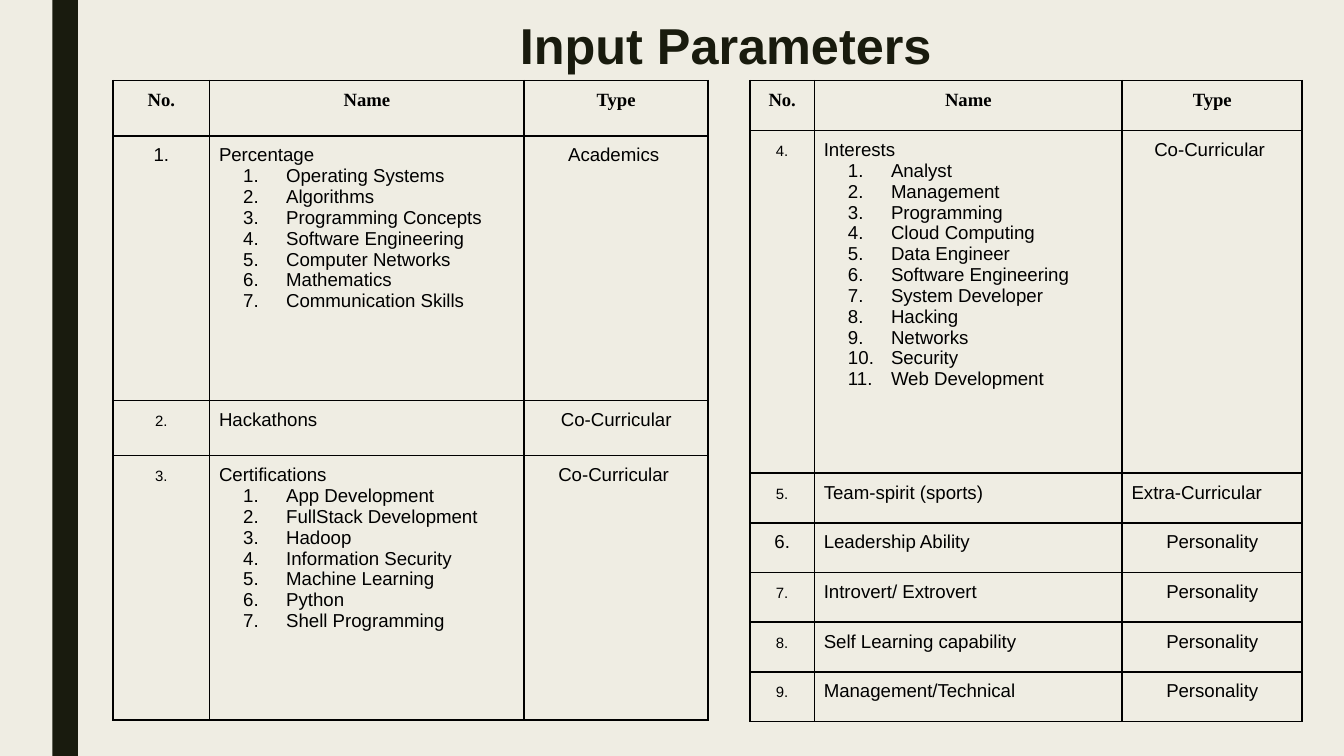
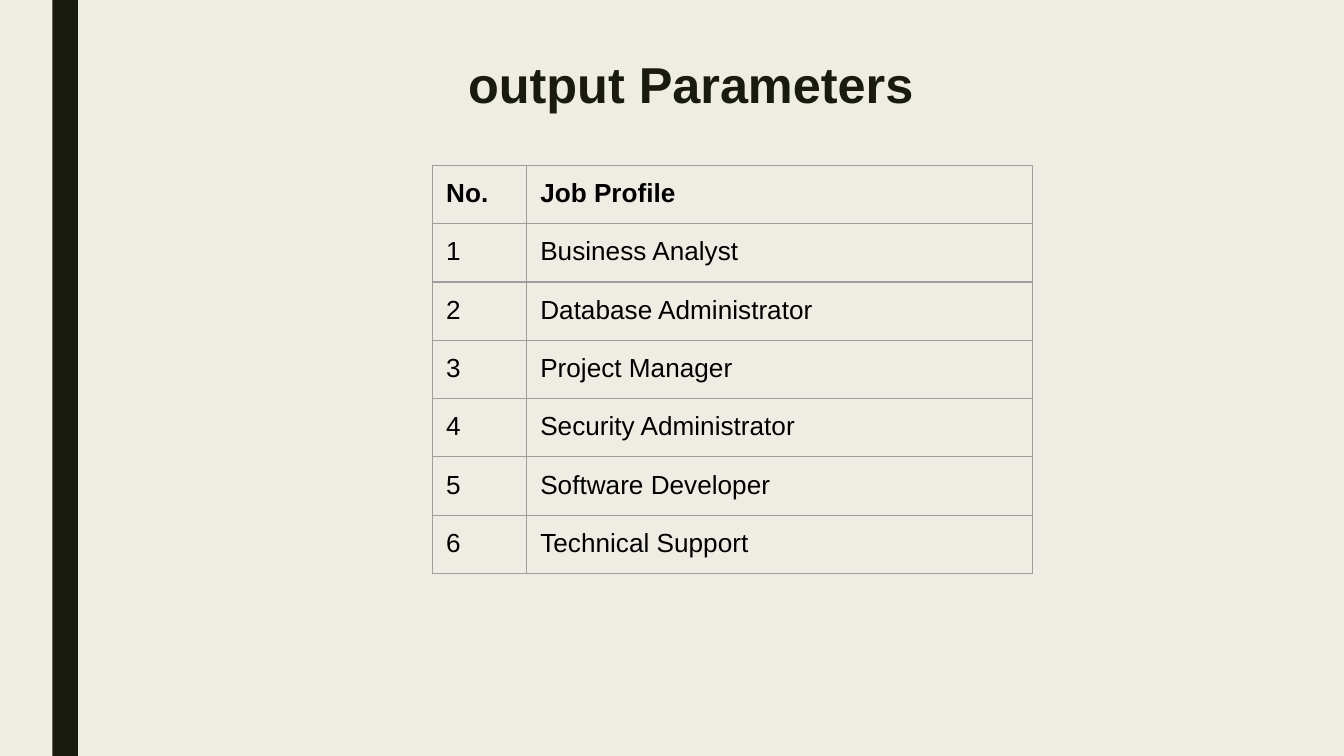
from dataclasses import dataclass, replace

from lxml.etree import SubElement
from pptx import Presentation
from pptx.dml.color import RGBColor
from pptx.enum.shapes import MSO_SHAPE
from pptx.enum.text import MSO_ANCHOR, PP_ALIGN
from pptx.oxml import parse_xml
from pptx.oxml.ns import nsdecls, qn
from pptx.slide import Slide
from pptx.table import _Cell
from pptx.text.text import _Paragraph
from pptx.util import Inches, Length, Pt

# Lengths count square grid units: 100 columns by 56.25 rows.
COLUMNS, ROWS = 100, 56.25
UNIT = Inches(10) / COLUMNS

PAPER = RGBColor(0xEF, 0xED, 0xE3)
INK = RGBColor(0x19, 0x1B, 0x0E)
BLACK = RGBColor(0x00, 0x00, 0x00)
GRAY = RGBColor(0x9E, 0x9E, 0x9E)

LEFT, CENTER, JUSTIFY = PP_ALIGN.LEFT, PP_ALIGN.CENTER, PP_ALIGN.JUSTIFY


@dataclass(frozen=True)
class TextStyle:
    size: float
    font: str = "Arial"
    color: RGBColor = BLACK
    bold: bool = False
    small_caps: bool = False


@dataclass(frozen=True)
class CellText:
    text: str
    style: TextStyle
    align: PP_ALIGN = LEFT
    items: tuple[str, ...] = ()


@dataclass(frozen=True)
class Parameter:
    number: int
    name: str
    kind: str
    items: tuple[str, ...] = ()
    name_align: PP_ALIGN = LEFT
    kind_align: PP_ALIGN = CENTER
    small_number: bool = True


@dataclass(frozen=True)
class TableLayout:
    left: float
    top: float
    widths: tuple[float, ...]
    heights: tuple[float, ...]
    inset: float
    border: RGBColor
    border_width: float


TITLE = TextStyle(27, color=INK, bold=True)
HEADING = TextStyle(10, "Times New Roman", bold=True)
BODY = TextStyle(10)
PROFILE = TextStyle(14)

LEFT_PARAMETERS = (
    Parameter(1, "Percentage ", "Academics ", (
        "Operating Systems", "Algorithms", "Programming Concepts",
        "Software Engineering", "Computer Networks", "Mathematics",
        "Communication Skills"), JUSTIFY, small_number=False),
    Parameter(2, "Hackathons", "Co-Curricular"),
    Parameter(3, "Certifications", "Co-Curricular ", (
        "App Development", "FullStack Development", "Hadoop",
        "Information Security", "Machine Learning", "Python",
        "Shell Programming"), JUSTIFY),
)
RIGHT_PARAMETERS = (
    Parameter(4, "Interests", "Co-Curricular ", (
        "Analyst", "Management", "Programming", "Cloud Computing",
        "Data Engineer", "Software Engineering", "System Developer",
        "Hacking", "Networks", "Security", "Web Development")),
    Parameter(5, "Team-spirit (sports)", "Extra-Curricular", kind_align=LEFT),
    Parameter(6, "Leadership Ability", "Personality", small_number=False),
    Parameter(7, "Introvert/ Extrovert", "Personality"),
    Parameter(8, "Self Learning capability", "Personality"),
    Parameter(9, "Management/Technical", "Personality"),
)
JOB_PROFILES = (
    "Business Analyst", "Database Administrator", "Project Manager",
    "Security Administrator", "Software Developer", "Technical Support",
)

LEFT_LAYOUT = TableLayout(
    8.4, 6, (7.2, 23.4, 13.7), (4.1, 19.7) * 2, 0.7, BLACK, 1)
RIGHT_LAYOUT = TableLayout(
    55.8, 6, (4.8, 22.9, 13.4), (3.7, 25.5) + (3.7,) * 5, 0.7, BLACK, 1)
PROFILE_LAYOUT = TableLayout(
    32.2, 12.3, (7, 37.6), (4.2,) * (len(JOB_PROFILES) + 1), 1, GRAY, 0.75)


def grid(units: float) -> Length:
    return Length(round(units * UNIT))


def add_run(paragraph: _Paragraph, text: str, style: TextStyle) -> None:
    run = paragraph.add_run()
    run.text = text
    run.font.size = Pt(style.size)
    run.font.name = style.font
    run.font.bold = style.bold
    run.font.color.rgb = style.color
    if style.small_caps:
        run._r.get_or_add_rPr().set("cap", "small")


def number_paragraph(paragraph: _Paragraph) -> None:
    """Give the paragraph a hanging automatic number."""
    properties = paragraph._p.get_or_add_pPr()
    properties.set("marL", str(grid(5)))
    properties.set("indent", str(grid(-3.2)))
    color = SubElement(properties, qn("a:buClr"))
    SubElement(color, qn("a:srgbClr"), val=str(BLACK))
    SubElement(properties, qn("a:buFont"), typeface="Arial")
    SubElement(properties, qn("a:buAutoNum"), type="arabicPeriod")


def set_borders(cell: _Cell, color: RGBColor, width: float) -> None:
    properties = cell._tc.get_or_add_tcPr()
    for index, side in enumerate("LRTB"):
        properties.insert(index, parse_xml(
            f'<a:ln{side} {nsdecls("a")} w="{Pt(width)}"><a:solidFill>'
            f'<a:srgbClr val="{color}"/></a:solidFill></a:ln{side}>'))


def fill_cell(cell: _Cell, content: CellText, layout: TableLayout) -> None:
    cell.fill.background()
    set_borders(cell, layout.border, layout.border_width)
    cell.margin_left = cell.margin_right = grid(layout.inset)
    cell.margin_top = cell.margin_bottom = grid(layout.inset)
    paragraph = cell.text_frame.paragraphs[0]
    paragraph.alignment = content.align
    add_run(paragraph, content.text, content.style)
    for item in content.items:
        paragraph = cell.text_frame.add_paragraph()
        paragraph.alignment = content.align
        number_paragraph(paragraph)
        add_run(paragraph, item, content.style)


def add_table(slide: Slide, layout: TableLayout,
              rows: list[list[CellText]]) -> None:
    table = slide.shapes.add_table(
        len(layout.heights), len(layout.widths),
        grid(layout.left), grid(layout.top),
        grid(sum(layout.widths)), grid(sum(layout.heights))).table
    table.first_row = table.horz_banding = False
    for column, width in zip(table.columns, layout.widths):
        column.width = grid(width)
    for row, height, contents in zip(table.rows, layout.heights, rows):
        row.height = grid(height)
        for cell, content in zip(row.cells, contents):
            fill_cell(cell, content, layout)


def parameter_rows(parameters: tuple[Parameter, ...]) -> list[list[CellText]]:
    rows = [[CellText(heading, HEADING, CENTER)
             for heading in ("No.", "Name", "Type")]]
    for parameter in parameters:
        number_style = replace(BODY, small_caps=parameter.small_number)
        rows.append([
            CellText(f"{parameter.number}.", number_style, CENTER),
            CellText(parameter.name, BODY, parameter.name_align, parameter.items),
            CellText(parameter.kind, BODY, parameter.kind_align),
        ])
    return rows


def profile_rows() -> list[list[CellText]]:
    heading = replace(PROFILE, bold=True)
    rows = [[CellText("No.", heading), CellText("Job Profile", heading)]]
    for number, profile in enumerate(JOB_PROFILES, start=1):
        rows.append([CellText(str(number), PROFILE), CellText(profile, PROFILE)])
    return rows


def add_slide(presentation: Presentation, title: str, left: float, top: float,
              width: float) -> Slide:
    """Add a slide with the side band and a title box."""
    slide = presentation.slides.add_slide(presentation.slide_layouts[6])
    band = slide.shapes.add_shape(
        MSO_SHAPE.RECTANGLE, grid(3.9), 0, grid(1.9), grid(ROWS))
    band.shadow.inherit = False
    band.fill.solid()
    band.fill.fore_color.rgb = INK
    band.line.fill.background()

    box = slide.shapes.add_textbox(grid(left), grid(top), grid(width), grid(5.6))
    frame = box.text_frame
    frame.word_wrap = True
    frame.vertical_anchor = MSO_ANCHOR.MIDDLE
    paragraph = frame.paragraphs[0]
    paragraph.alignment = CENTER
    paragraph.line_spacing = 0.89
    add_run(paragraph, title, TITLE)
    return slide


def main() -> None:
    presentation = Presentation()
    presentation.slide_width = grid(COLUMNS)
    presentation.slide_height = grid(ROWS)
    background = presentation.slide_master.background.fill
    background.solid()
    background.fore_color.rgb = PAPER

    inputs = add_slide(presentation, "Input Parameters", 11.1, 0.8, 85.8)
    add_table(inputs, LEFT_LAYOUT, parameter_rows(LEFT_PARAMETERS))
    add_table(inputs, RIGHT_LAYOUT, parameter_rows(RIGHT_PARAMETERS))

    outputs = add_slide(presentation, "output Parameters", 12, 3.7, 78.8)
    add_table(outputs, PROFILE_LAYOUT, profile_rows())

    presentation.save("out.pptx")


if __name__ == "__main__":
    main()
